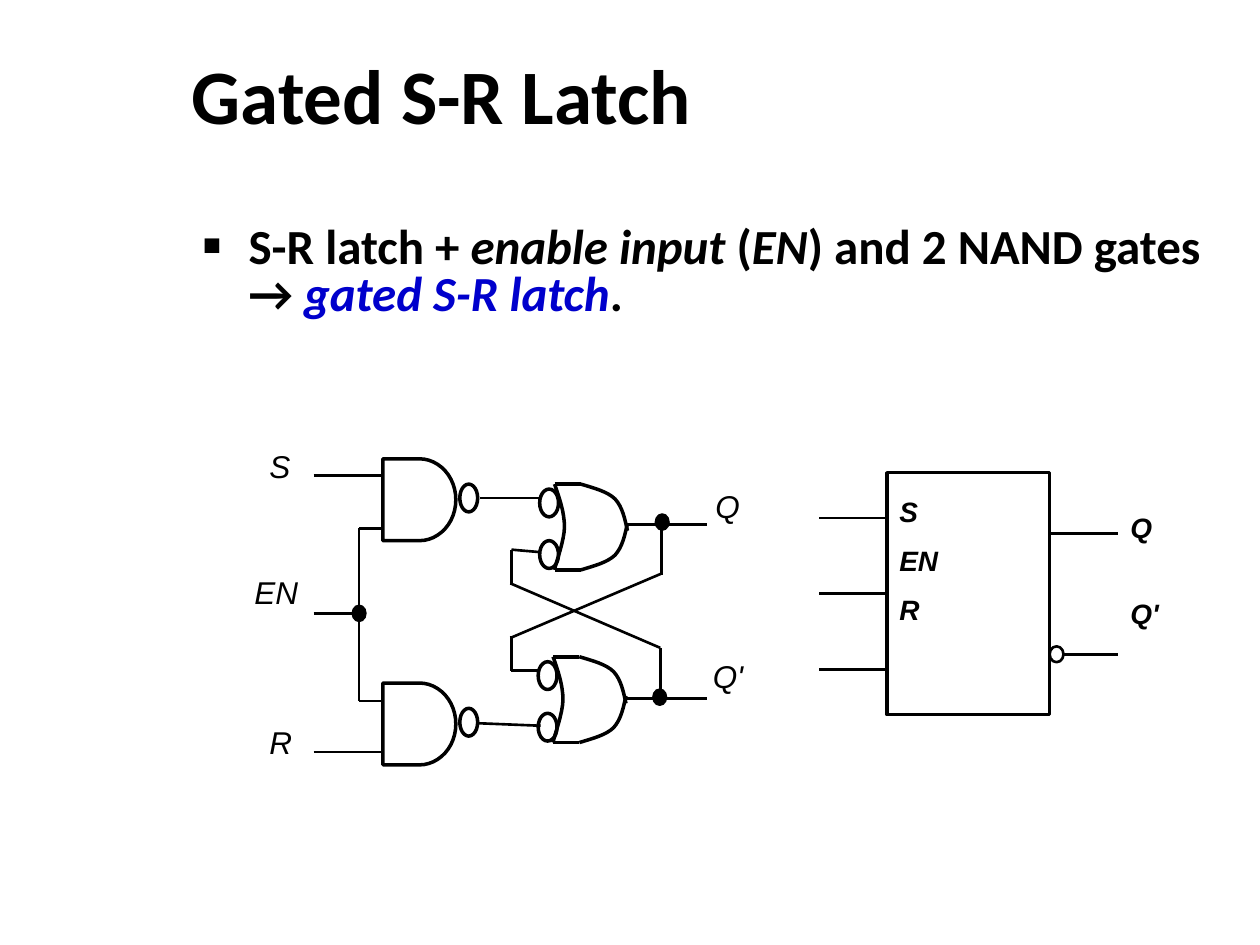
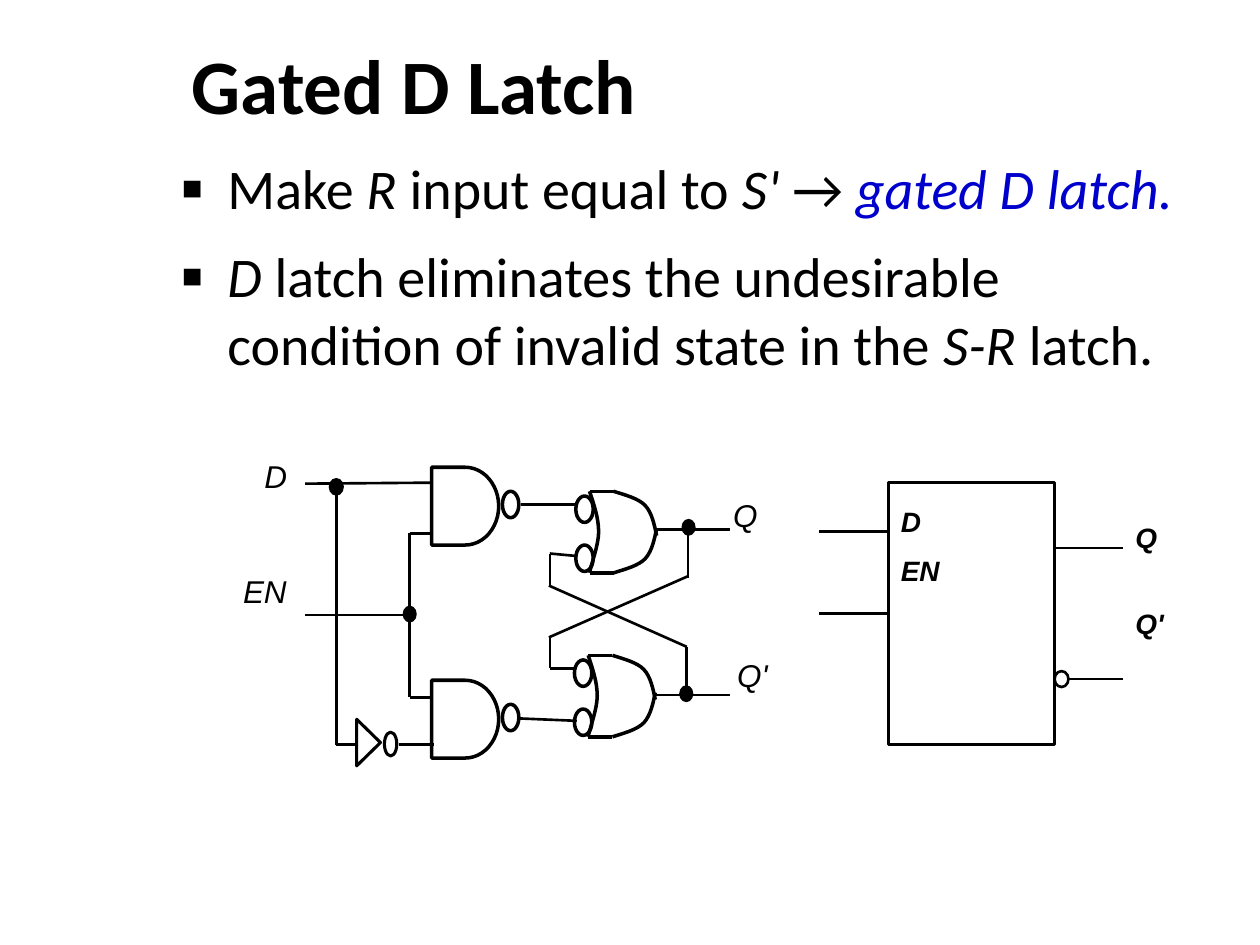
from lxml.etree import SubElement
from pptx import Presentation
from pptx.dml.color import RGBColor
from pptx.enum.shapes import MSO_CONNECTOR, MSO_SHAPE
from pptx.enum.text import MSO_ANCHOR, MSO_AUTO_SIZE, PP_ALIGN
from pptx.oxml.ns import qn
from pptx.util import Cm, Pt

COLORS = {"ink": "000000", "term": "0000CC", "paper": "FFFFFF"}
TEXT_FONT, LABEL_FONT = "Calibri", "Arial"
WIRE, GATE, INVERTER, DOT = 1.5, 2, 1.75, 0.75

# OR gate outline in cm: Bezier chains of a start point and three points per arc
OR_HEIGHT, OR_EDGE = 1.73, 0.53
OR_BACK = [(0, 0), (0.1, 0.28), (0.2, 0.58), (0.2, 0.86),
           (0.2, 1.14), (0.03, 1.57), (0, OR_HEIGHT)]
OR_NOSE = [(OR_EDGE, 0), (0.79, 0.08), (1.07, 0.15), (1.22, 0.3),
           (1.37, 0.46), (1.42, 0.71), (1.47, 0.94)]

# Wires of the cross-coupled latch, measured from the top of the enable bus
LATCH_WIRES = [
    (0, 1.4, 0.5, 1.4), (0, 4.88, 0.5, 4.88), (0, 1.4, 0, 4.88),
    (2.44, 0.79, 3.63, 0.79), (2.41, 5.33, 3.66, 5.38),
    (3.07, 1.83, 3.63, 1.88), (3.07, 4.27, 3.63, 4.27),
    (3.07, 1.83, 3.07, 2.54), (3.07, 3.58, 3.07, 4.27),
    (5.38, 1.32, 7.01, 1.32), (5.38, 4.83, 7.01, 4.83),
    (6.1, 1.35, 6.1, 2.34), (6.07, 3.81, 6.07, 4.88),
    (3.05, 2.51, 6.07, 3.81), (6.1, 2.31, 3.05, 3.61),
]
LATCH_DOTS = [(0, 3.12), (6.11, 1.28), (6.06, 4.81)]


def rgb(name):
    return RGBColor.from_string(COLORS[name])


def sample(chain, steps=8):
    """Return points along a chain of cubic Bezier arcs."""
    points = [chain[0]]
    for i in range(0, len(chain) - 1, 3):
        a, b, c, d = chain[i:i + 4]
        for k in range(1, steps + 1):
            t = k / steps
            u = 1 - t
            points.append(tuple(
                u**3 * a[n] + 3 * u * u * t * b[n] + 3 * u * t * t * c[n] + t**3 * d[n]
                for n in (0, 1)))
    return points


class Deck:
    def __init__(self):
        self.prs = Presentation()
        self.prs.slide_width, self.prs.slide_height = Cm(25.4), Cm(19.05)
        self.frame()

    def frame(self, x=0, y=0, sx=1, sy=1):
        """Set the origin and scale for the shapes that follow."""
        self.x, self.y, self.sx, self.sy = x, y, sx, sy

    def at(self, x, y):
        return Cm(self.x + x * self.sx), Cm(self.y + y * self.sy)

    def slide(self, title, box):
        self.s = self.prs.slides.add_slide(self.prs.slide_layouts[1])
        self.s.background.fill.solid()
        self.s.background.fill.fore_color.rgb = rgb("paper")
        sp = self.s.shapes.title
        tf = self.place(sp, box)
        tf.vertical_anchor = MSO_ANCHOR.MIDDLE
        p = tf.paragraphs[0]
        p.alignment = PP_ALIGN.LEFT
        self.run(p, title, 44, bold=True)

    def place(self, sp, box):
        sp.left, sp.top, sp.width, sp.height = (Cm(v) for v in box)
        tf = sp.text_frame
        tf.word_wrap = True
        tf.auto_size = MSO_AUTO_SIZE.NONE
        return tf

    def run(self, p, text, size, font=TEXT_FONT, color="ink", bold=False, italic=False):
        r = p.add_run()
        r.text = text
        f = r.font
        f.name, f.size, f.bold, f.italic = font, Pt(size), bold, italic
        f.color.rgb = rgb(color)

    def bullets(self, items, box, size, bold=False, spacing=1.0):
        """Fill the body; each item is a list of (text, style) with style '', 'i' or 'term'."""
        tf = self.place(self.s.placeholders[1], box)
        tf.vertical_anchor = MSO_ANCHOR.TOP
        for i, item in enumerate(items):
            p = tf.add_paragraph() if i else tf.paragraphs[0]
            p.line_spacing = spacing
            p.space_before = Pt(12 if i else 0)
            pPr = p._p.get_or_add_pPr()
            pPr.set("marL", str(Cm(0.95)))
            pPr.set("indent", str(-Cm(0.95)))
            SubElement(pPr, qn("a:buSzPct"), val="120000")
            SubElement(pPr, qn("a:buFont"), typeface=LABEL_FONT)
            SubElement(pPr, qn("a:buChar"), char="▪")
            for text, style in item:
                self.run(p, text, size, bold=bold, italic=style != "",
                         color="term" if style == "term" else "ink")

    def label(self, lines, x, y, w=1.3, h=1.02, size=18, bold=False, gap=0):
        sp = self.s.shapes.add_textbox(Cm(x), Cm(y), Cm(w), Cm(h))
        tf = sp.text_frame
        tf.word_wrap = True
        for i, line in enumerate(lines):
            p = tf.add_paragraph() if i else tf.paragraphs[0]
            p.space_before = Pt(gap if i else 0)
            self.run(p, line, size, LABEL_FONT, bold=bold, italic=True)

    def outline(self, sp, width):
        sp.shadow.inherit = False
        sp.fill.background()
        sp.line.color.rgb = rgb("ink")
        sp.line.width = Pt(width)
        return sp

    def shape(self, kind, x, y, w, h, width=GATE):
        sp = self.s.shapes.add_shape(kind, *self.at(x, y), Cm(w * self.sx), Cm(h * self.sy))
        return self.outline(sp, width)

    def bubble(self, x, y, w=0.38, h=0.56, width=GATE):
        return self.shape(MSO_SHAPE.OVAL, x, y, w, h, width)

    def dot(self, x, y):
        """Draw a junction centred on a point."""
        sp = self.bubble(x - 0.14, y - 0.17, 0.28, 0.33, DOT)
        sp.fill.solid()
        sp.fill.fore_color.rgb = rgb("ink")

    def wire(self, x1, y1, x2, y2, width=WIRE):
        c = self.s.shapes.add_connector(
            MSO_CONNECTOR.STRAIGHT, *self.at(x1, y1), *self.at(x2, y2))
        c.line.color.rgb = rgb("ink")
        c.line.width = Pt(width)
        SubElement(c._element.spPr, qn("a:effectLst"))
        return c

    def curve(self, chain):
        points = [self.at(x, y) for x, y in sample(chain)]
        fb = self.s.shapes.build_freeform(*points[0])
        fb.add_line_segments(points[1:], close=False)
        self.outline(fb.convert_to_shape(), GATE)

    def nand_gate(self, x, y):
        self.shape(MSO_SHAPE.FLOWCHART_DELAY, x, y, 1.47, 1.65)
        self.bubble(x + 1.55, y + 0.51, 0.36)

    def or_gate(self, x, y):
        """Draw an OR gate with two inverted inputs."""
        mirrored = [(px, OR_HEIGHT - py) for px, py in OR_NOSE]
        for chain in (OR_BACK, OR_NOSE, mirrored):
            self.curve([(x + px, y + py) for px, py in chain])
        for edge in (y, y + OR_HEIGHT):
            self.wire(x, edge, x + OR_EDGE, edge, GATE)
        for dy in (0.1, 1.14):
            self.bubble(x - 0.3, y + dy)

    def latch(self, x, y, sx=1, sy=1):
        """Draw the two NAND gates and the cross-coupled pair behind them."""
        self.frame(x, y, sx, sy)
        for ends in LATCH_WIRES:
            self.wire(*ends)
        for top in (0, 4.52):
            self.nand_gate(0.48, top)
        self.or_gate(3.94, 0.51)
        self.or_gate(3.91, 3.99)
        for centre in LATCH_DOTS:
            self.dot(*centre)
        self.frame()

    def symbol(self, x, y, w, h, inputs, wired):
        """Draw the block symbol; wired gives the input heights in sixteenths."""
        block = self.shape(MSO_SHAPE.RECTANGLE, x, y, w, h)
        for part in wired:
            level = y + h * part / 16
            c = self.wire(16.51, level, x, level)
            if part == 8:
                c.end_connect(block, 1)
        right, end, low = x + w, x + w + 1.38, y + h * 3 / 4
        self.wire(right, y + h / 4, end, y + h / 4)
        self.bubble(right, low - 0.16, 0.28, 0.32, WIRE)
        self.wire(right + 0.28, low, end, low)
        self.label(inputs, x, y + 0.31, 1.9, 0.98 * len(inputs), 16, True, 9)
        self.label(["Q", "Q'"], end, y + 0.63, 1.65, 2.69, 16, True, 30)


def gated_sr_latch(deck):
    deck.slide("Gated S-R Latch", (3.61, 0.84, 20.95, 2.11))
    deck.bullets([[("S-R latch + ", ""), ("enable input", "i"), (" (", ""), ("EN", "i"),
                   (") and 2 NAND gates → ", ""), ("gated S-R latch", "term"), (".", "")]],
                 (3.81, 4.45, 20.75, 2.31), 28, bold=True, spacing=0.8)
    deck.latch(7.24, 9.25)
    for y, end in ((9.58, 7.75), (12.37, 7.24), (15.16, 7.75)):
        deck.wire(6.32, y, end, y)
    for text, x, y in (("S", 5.18, 8.89), ("EN", 4.88, 11.43), ("R", 5.18, 14.45),
                       ("Q", 14.17, 9.7), ("Q'", 14.12, 13.13)):
        deck.label([text], x, y, 1.65 if text == "EN" else 1.3)
    deck.symbol(17.88, 9.53, 3.28, 4.88, ["S", "EN", "R"], (3, 8, 13))


def gated_d_latch(deck):
    deck.slide("Gated D Latch", (3.61, 0.64, 21.79, 2.11))
    deck.bullets([
        [("Make ", ""), ("R", "i"), (" input equal to ", ""), ("S' ", "i"), ("→ ", ""),
         ("gated D latch.", "term")],
        [("D", "i"), (" latch eliminates the undesirable condition of invalid state in the ", ""),
         ("S-R", "i"), (" latch.", "")],
    ], (3.38, 2.97, 20.96, 4.88), 32)
    deck.latch(8.26, 9.42, 0.92, 0.95)
    data_x, inverted_y = 6.78, 15.01
    for ends in ((6.15, 9.75, 8.71, 9.73), (6.15, 12.4, 8.26, 12.4),
                 (data_x, 9.75, data_x, inverted_y),
                 (data_x, inverted_y, 7.19, inverted_y),
                 (8.05, inverted_y, 8.74, inverted_y)):
        deck.wire(*ends)
    deck.dot(data_x, 9.82)
    inverter = deck.shape(MSO_SHAPE.FLOWCHART_EXTRACT, 6.96, 14.73, 0.94, 0.48, INVERTER)
    inverter.rotation = 90
    deck.bubble(7.75, 14.76, 0.25, 0.48, INVERTER)
    for text, x, y in (("D", 5.08, 9.09), ("EN", 4.65, 11.4),
                       ("Q", 14.53, 9.88), ("Q'", 14.61, 13.11)):
        deck.label([text], x, y, 1.52 if text == "EN" else 1.2)
    deck.symbol(17.91, 9.73, 3.35, 5.28, ["D", "EN"], (3, 8))


def main():
    deck = Deck()
    gated_sr_latch(deck)
    gated_d_latch(deck)
    deck.prs.save("out.pptx")


if __name__ == "__main__":
    main()
